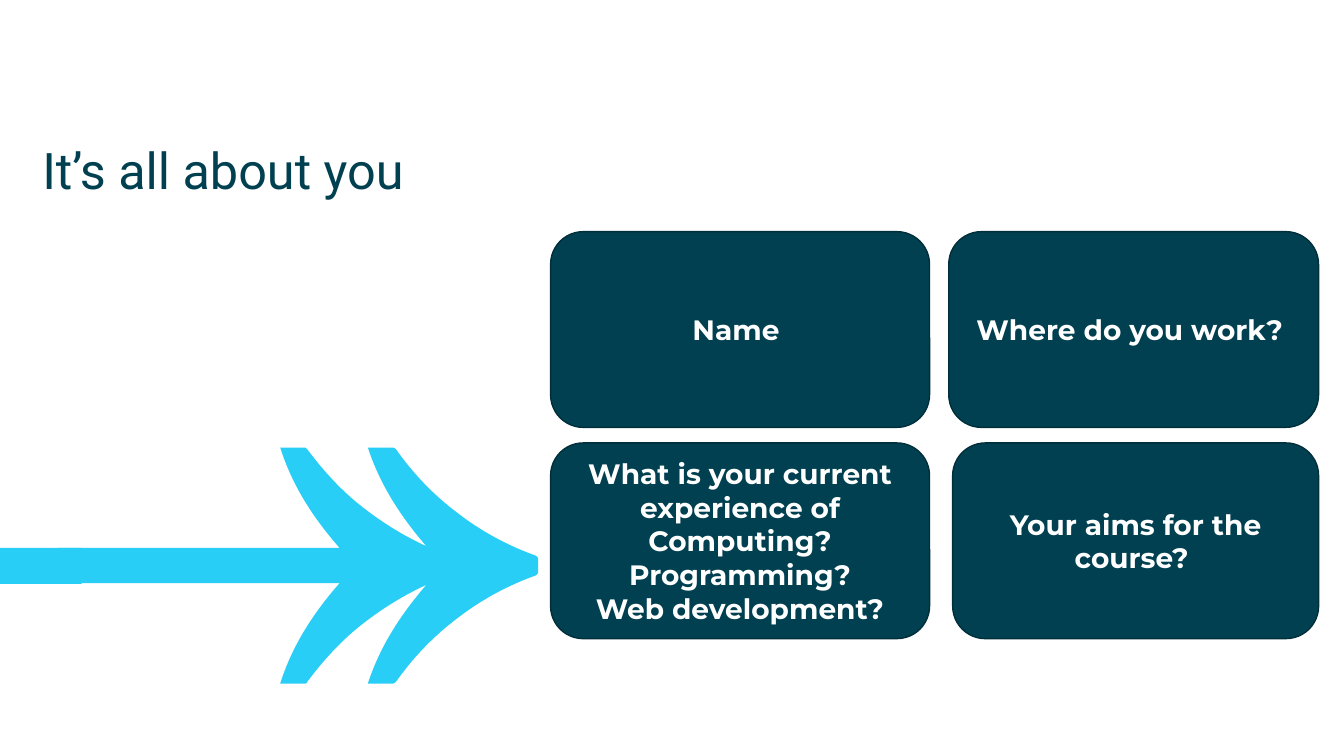
from lxml import etree
from pptx import Presentation
from pptx.dml.color import RGBColor
from pptx.enum import shapes, text
from pptx.oxml import ns
from pptx.util import Pt

TEAL = RGBColor(0x00, 0x40, 0x50)
DARK_TEAL = RGBColor(0x00, 0x2F, 0x3B)
SKY = RGBColor(0x28, 0xCE, 0xF6)
WHITE = RGBColor(0xFF, 0xFF, 0xFF)

# Upper half of the arrow: one point is a line, three points are a curve
ARROW_AXIS = 404
ARROW_START = (41.8, 391.4)
ARROW_UPPER = [
    [(242.6, 391.4)],
    [(223.9, 370.1), (208.8, 347), (200.2, 319.7)],
    [(218.2, 319.7)],
    [(219, 319.7), (219.6, 320.4), (219.6, 321.1)],
    [(230.4, 335.5), (242.6, 349.2), (257, 360.7)],
    [(271.4, 372.2), (287.3, 382.3), (304.6, 390.2)],
    [(286.6, 369.4), (271.4, 346.3), (262.8, 319.7)],
    [(280.8, 319.7)],
    [(281.5, 319.7), (282.2, 320.4), (283, 321.1)],
    [(295.2, 338.4), (309.6, 353.5), (326.9, 366.5)],
    [(342.7, 378.7), (360.7, 388.8), (380.2, 396)],
    [(383, 396.7), (384.8, 398), (384.5, 400.3)],
]


def mirrored(start, segments, axis):
    """Follow the segments, then their mirror image back to the start."""
    def flip(point):
        return point[0], 2 * axis - point[1]

    starts = [start] + [segment[-1] for segment in segments]
    back = [[flip(starts[-1])]]
    for origin, segment in zip(reversed(starts[:-1]), reversed(segments)):
        back.append([flip(point) for point in [*segment[-2::-1], origin]])
    return segments + back


class SlideBuilder:
    def __init__(self, slide):
        self.slide = slide
        self.heading_font = "Roboto"
        self.card_font = "Montserrat"

    def paint(self, shape, fill, line=None):
        shape.shadow.inherit = False
        shape.fill.solid()
        shape.fill.fore_color.rgb = fill
        if line is None:
            shape.line.fill.background()
        else:
            shape.line.color.rgb = line
            shape.line.width = Pt(1)

    def style(self, paragraph, name, size, color, bold, align):
        paragraph.alignment = align
        font = paragraph.font
        font.name, font.size, font.bold = name, Pt(size), bold
        font.color.rgb = color

    def title(self, wording, left, top, width, height):
        shape = self.slide.shapes.title
        shape.left, shape.top = Pt(left), Pt(top)
        shape.width, shape.height = Pt(width), Pt(height)
        frame = shape.text_frame
        frame.text = wording
        frame.vertical_anchor = text.MSO_ANCHOR.TOP
        frame.margin_left = frame.margin_right = 0
        frame.margin_top = frame.margin_bottom = 0
        self.style(frame.paragraphs[0], self.heading_font, 36, TEAL, False,
                   text.PP_ALIGN.LEFT)

    def box(self, kind, left, top, width, height, fill, line=None):
        shape = self.slide.shapes.add_shape(
            kind, Pt(left), Pt(top), Pt(width), Pt(height))
        self.paint(shape, fill, line)
        return shape

    def card(self, wording, left, top, width, height):
        shape = self.box(shapes.MSO_SHAPE.ROUNDED_RECTANGLE,
                         left, top, width, height, TEAL, DARK_TEAL)
        frame = shape.text_frame
        frame.word_wrap = True
        frame.vertical_anchor = text.MSO_ANCHOR.MIDDLE
        frame.text = wording
        for paragraph in frame.paragraphs:
            self.style(paragraph, self.card_font, 20, WHITE, True,
                       text.PP_ALIGN.CENTER)

    def outline(self, start, segments, fill):
        builder = self.slide.shapes.build_freeform(Pt(start[0]), Pt(start[1]))
        builder.add_line_segments(
            [(Pt(x), Pt(y)) for segment in segments for x, y in segment])
        shape = builder.convert_to_shape()
        self.paint(shape, fill)

        # Join each three points of a curve into one Bezier element
        lines = iter(list(shape.element.iter(ns.qn("a:lnTo"))))
        for segment in segments:
            parts = [next(lines) for _ in segment]
            if len(parts) == 3:
                curve = etree.Element(ns.qn("a:cubicBezTo"))
                parts[0].addprevious(curve)
                for part in parts:
                    curve.append(part[0])
                    part.getparent().remove(part)


def main():
    presentation = Presentation()
    presentation.slide_width, presentation.slide_height = Pt(960), Pt(540)
    slide = presentation.slides.add_slide(presentation.slide_layouts[5])
    builder = SlideBuilder(slide)

    # Arrow, mirrored about its axis, and its tail at the slide edge
    builder.outline(ARROW_START,
                    mirrored(ARROW_START, ARROW_UPPER, ARROW_AXIS), SKY)
    builder.box(shapes.MSO_SHAPE.RECTANGLE, 0, 391.3, 58.3, 25.7, SKY)

    # Heading
    builder.title("It’s all about you", 30.2, 99.4, 306.7, 206.6)

    # Question cards
    row_tops, card_height = (165.5, 316.4), 139.8
    right_edge = 941.9
    left_column, left_width = 393.3, 270.7
    rows = [
        ("Name ", "Where do you work? ", 677.7),
        ("What is your current experience of\nComputing?\nProgramming?\n"
         "Web development?", "Your aims for the course? ", 680.5),
    ]
    for top, (left_text, right_text, right_column) in zip(row_tops, rows):
        builder.card(left_text, left_column, top, left_width, card_height)
        builder.card(right_text, right_column, top,
                     right_edge - right_column, card_height)

    presentation.save("out.pptx")


if __name__ == "__main__":
    main()
